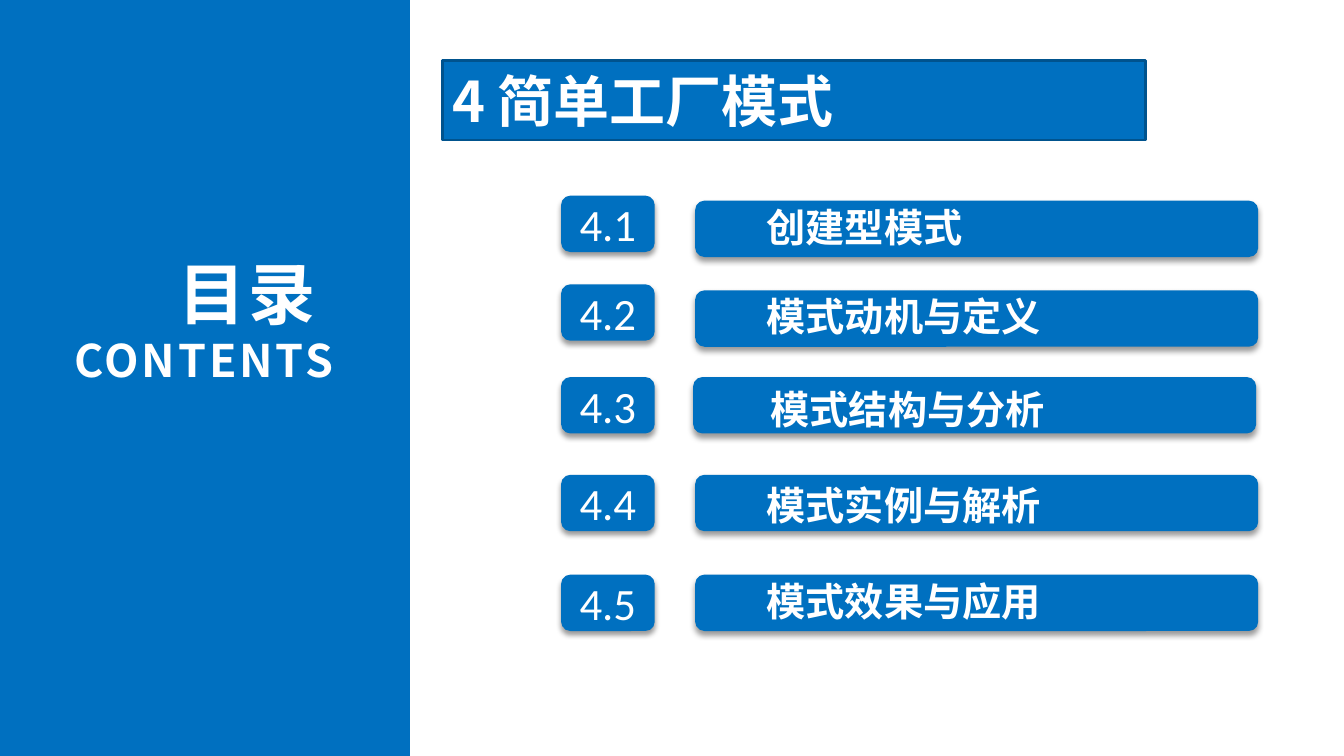
from lxml import etree
from pptx import Presentation
from pptx import util as u
from pptx.dml.color import RGBColor
from pptx.enum import shapes, text
from pptx.oxml import ns

BLUE = RGBColor(0x00, 0x70, 0xC0)
DARK_BLUE = RGBColor(0x00, 0x53, 0x8E)
WHITE = RGBColor(0xFF, 0xFF, 0xFF)
CJK_FONT = "Noto Sans CJK SC"
NUMBER_FONT = "Calibri"

WIDTH, HEIGHT = u.Inches(13.34), u.Inches(7.5)
COL, ROW = WIDTH / 100, HEIGHT / 100  # the slide is a grid of 100 by 100

PANEL = (0, 0, 30.5, 100)
HEADING = (32.9, 8, 52.32, 10.53)
AGENDA = (41.75, 25.87, 51.87, 57.6)
ROUND, RECT = shapes.MSO_SHAPE.ROUNDED_RECTANGLE, shapes.MSO_SHAPE.RECTANGLE

# number, topic, tops of badge, bar and label, shifts of bar and label
TOPICS = [
    ("4.1", "创建型模式", 0, 0.66, 0.13, 0, 0),
    ("4.2", "模式动机与定义", 11.73, 12.53, 11.86, 0, 0),
    ("4.3", "模式结构与分析", 24, 24, 24.13, -0.15, 0.3),
    ("4.4", "模式实例与解析", 36.93, 36.93, 36.8, 0, 0),
    ("4.5", "模式效果与应用", 50.13, 50.13, 49.6, 0, 0),
]


def emu(box):
    left, top, width, height = box
    return [round(v) for v in (left * COL, top * ROW, width * COL, height * ROW)]


def add_block(slide, kind, box, shadow=False):
    block = slide.shapes.add_shape(kind, *emu(box))
    block.shadow.inherit = False
    block.fill.solid()
    block.fill.fore_color.rgb = BLUE
    block.line.fill.background()
    if shadow:
        effects = block._element.spPr.find(ns.qn("a:effectLst"))
        outer = etree.SubElement(effects, ns.qn("a:outerShdw"), blurRad=str(u.Pt(4)),
                                 dist=str(u.Pt(3)), dir="5400000", rotWithShape="0")
        black = etree.SubElement(outer, ns.qn("a:srgbClr"), val="000000")
        etree.SubElement(black, ns.qn("a:alpha"), val="40000")
    return block


def write(shape, lines, font, align, anchor, bold=True, spacing=0, insets=(0.13, 0.07)):
    """Fill a shape with (wording, size) lines in white."""
    frame = shape.text_frame
    frame.word_wrap = True
    frame.auto_size = text.MSO_AUTO_SIZE.NONE
    frame.vertical_anchor = anchor
    frame.margin_left = frame.margin_right = u.Inches(insets[0])
    frame.margin_top = frame.margin_bottom = u.Inches(insets[1])
    frame.text = "\n".join(wording for wording, _ in lines)
    for paragraph, (_, size) in zip(frame.paragraphs, lines):
        paragraph.alignment = align
        for run in paragraph.runs:
            run.font.size = u.Pt(size)
            run.font.bold = bold
            run.font.color.rgb = WHITE
            run.font.name = font
            properties = run.font._element
            properties.find(ns.qn("a:latin")).addnext(
                properties.makeelement(ns.qn("a:ea"), {"typeface": font}))
            if spacing:
                properties.set("spc", str(spacing * 100))


def add_contents_panel(slide, box):
    left, top, width, height = box
    add_block(slide, RECT, box)
    caption = slide.shapes.add_textbox(
        *emu((left + 2.77, top + height * 0.324, width * 0.7544, height * 0.1973)))
    write(caption, [("目录 ", 48), ("CONTENTS", 32)], CJK_FONT,
          text.PP_ALIGN.RIGHT, text.MSO_ANCHOR.TOP, spacing=2)


def format_heading(slide, box):
    heading = slide.shapes.title
    heading.left, heading.top, heading.width, heading.height = emu(box)
    outline = etree.Element(ns.qn("a:prstGeom"), prst="roundRect")
    etree.SubElement(outline, ns.qn("a:avLst"))
    heading._element.spPr.find(ns.qn("a:xfrm")).addnext(outline)
    heading.fill.solid()
    heading.fill.fore_color.rgb = BLUE
    heading.line.color.rgb = DARK_BLUE
    heading.line.width = u.Pt(2)
    write(heading, [("4 简单工厂模式", 40)], CJK_FONT,
          text.PP_ALIGN.LEFT, text.MSO_ANCHOR.MIDDLE, insets=(0.1, 0.05))


def add_agenda(slide, box):
    left, top, width, height = box
    badge_width, bar_left, label_left = 6.97, 9.97, 14.32
    row_height = height - TOPICS[-1][2]
    for number, topic, badge_top, bar_top, label_top, bar_shift, label_shift in TOPICS:
        badge = add_block(slide, ROUND, (left, top + badge_top, badge_width, row_height), True)
        write(badge, [(number, 32)], NUMBER_FONT,
              text.PP_ALIGN.CENTER, text.MSO_ANCHOR.MIDDLE, bold=False)
        add_block(slide, ROUND, (left + bar_left + bar_shift, top + bar_top,
                                 width - bar_left, row_height), True)
        label = slide.shapes.add_textbox(
            *emu((left + label_left + label_shift, top + label_top, 35.83, 8.13)))
        write(label, [(topic, 28)], CJK_FONT, text.PP_ALIGN.LEFT, text.MSO_ANCHOR.TOP)


def main():
    deck = Presentation()
    deck.slide_width, deck.slide_height = WIDTH, HEIGHT
    slide = deck.slides.add_slide(deck.slide_layouts.get_by_name("Title Only"))
    add_contents_panel(slide, PANEL)
    format_heading(slide, HEADING)
    add_agenda(slide, AGENDA)
    deck.save("out.pptx")


if __name__ == "__main__":
    main()
